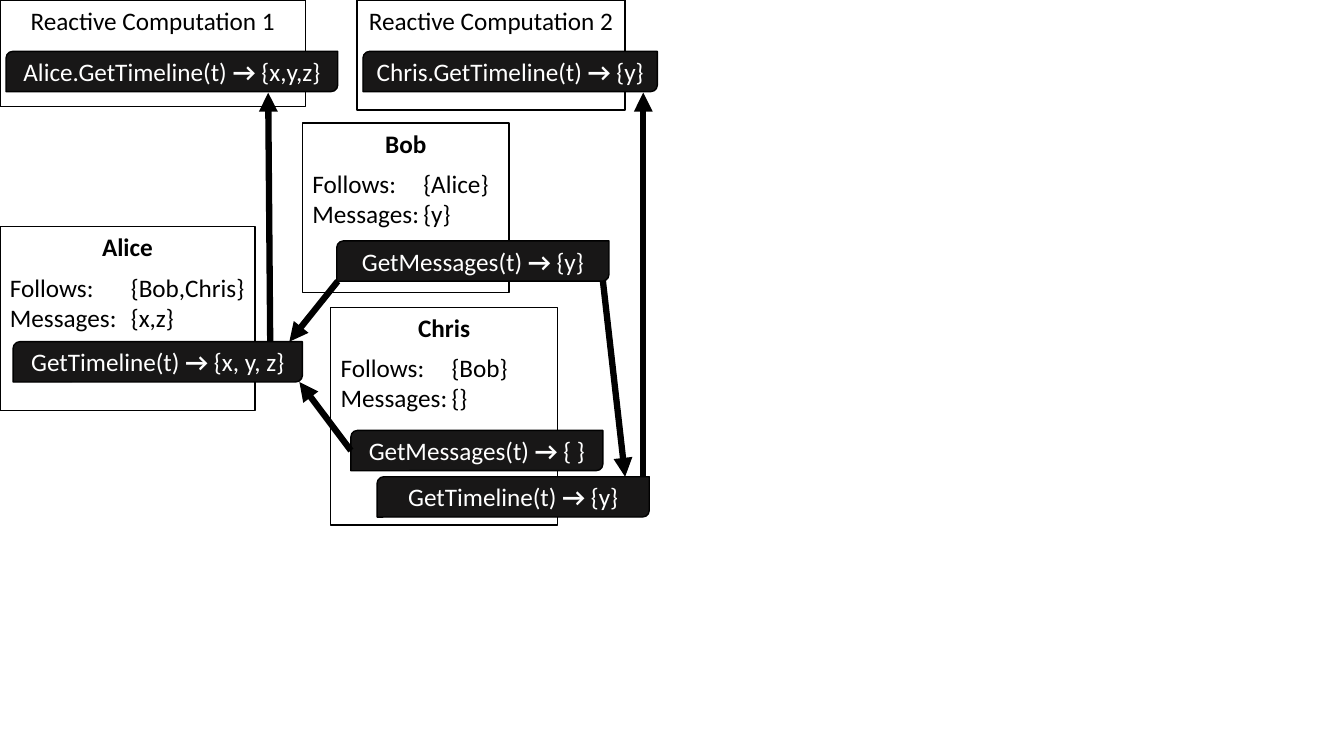
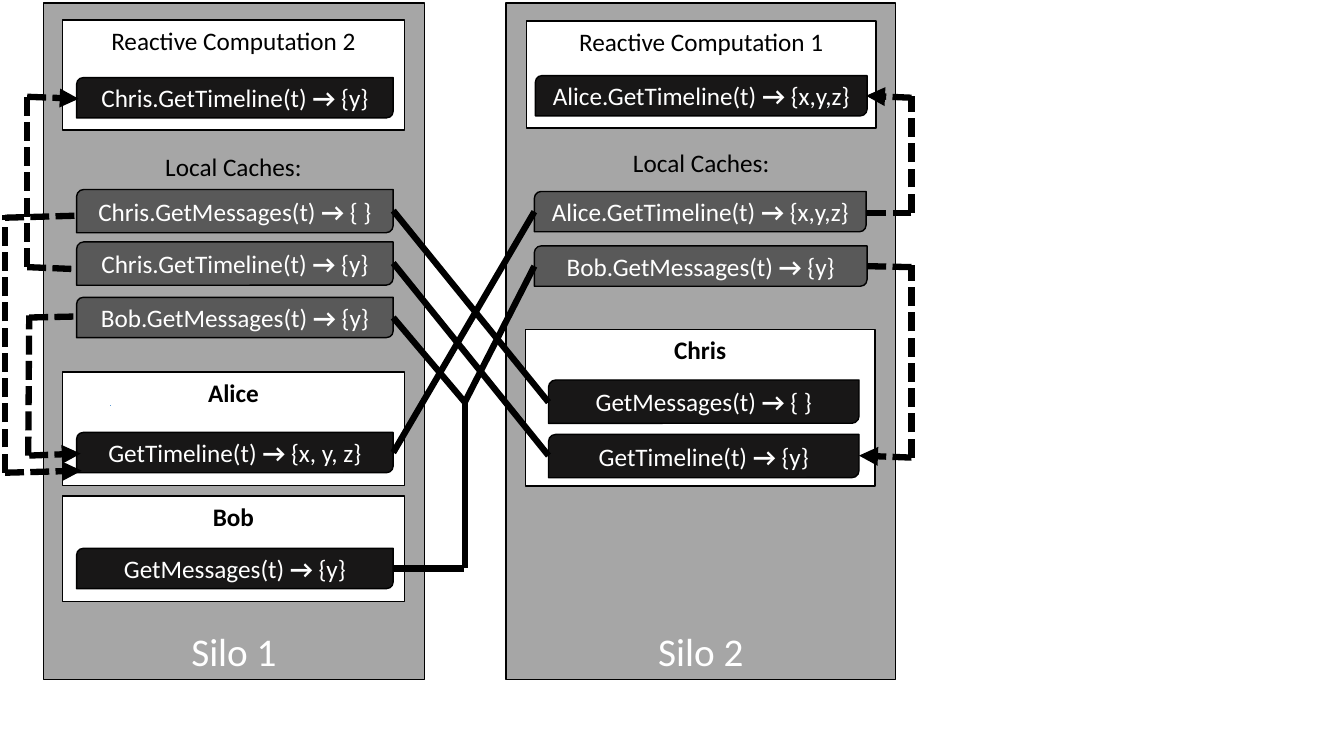
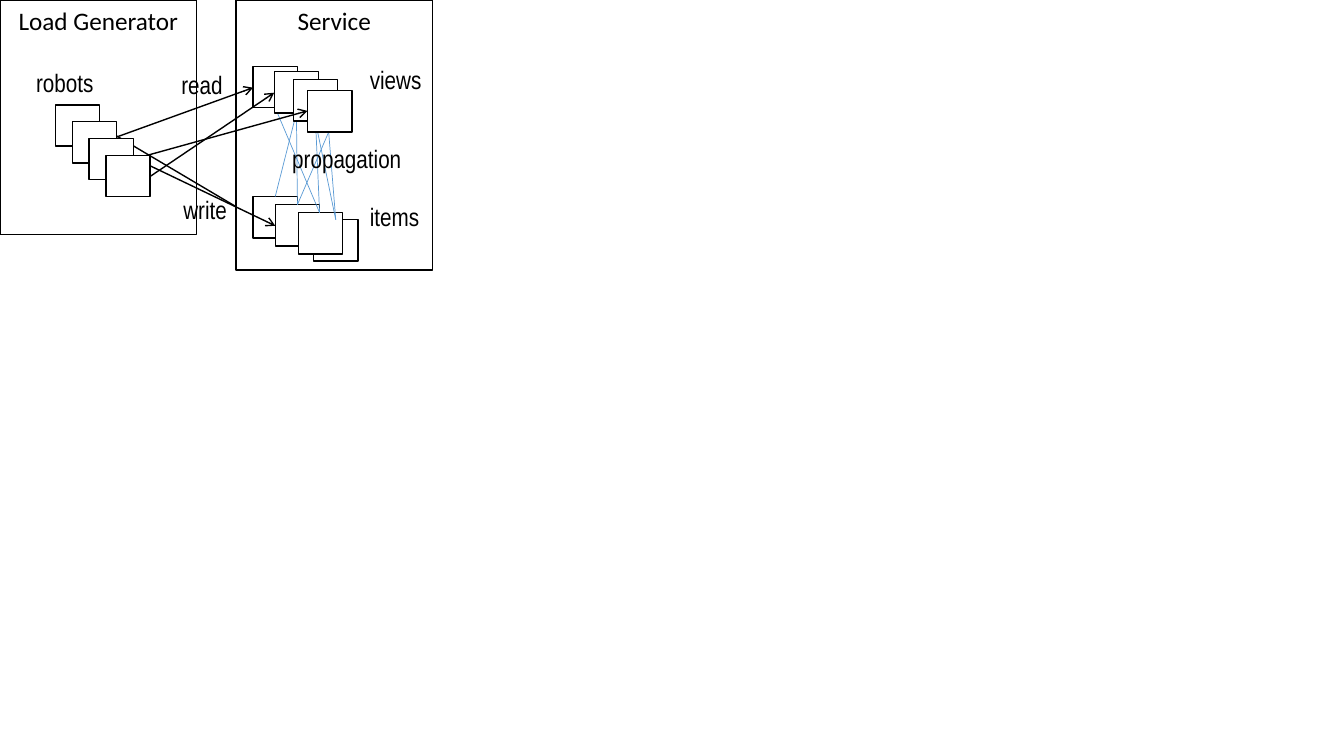
from dataclasses import dataclass

from lxml import etree
from pptx import Presentation
from pptx import util as u
from pptx.dml.color import RGBColor
from pptx.enum import dml, shapes, text
from pptx.oxml.ns import qn


@dataclass(frozen=True)
class Theme:
    """Colours, fonts and sizes shared by all slides."""
    black: str = "000000"
    white: str = "FFFFFF"
    live: str = "181717"
    cache: str = "595959"
    silo: str = "A6A6A6"
    blue: str = "5B9BD5"
    font: str = "Calibri"
    label_font: str = "Arial Narrow"
    body: int = 18
    large: int = 28
    thin: float = 0.5
    outline: float = 1
    thick: float = 4.5


T = Theme()
RECT = shapes.MSO_SHAPE.RECTANGLE
PILL = shapes.MSO_SHAPE.ROUND_2_DIAG_RECTANGLE
SQUARE = (0.44, 0.41)


def rgb(value):
    """Turn a hex string into a colour."""
    return RGBColor.from_string(value)


def add_run(p, words, color=T.black, size=T.body, bold=False, font=T.font):
    """Add one formatted run to a paragraph."""
    r = p.add_run()
    r.text = words
    r.font.name, r.font.size, r.font.bold = font, u.Pt(size), bold
    r.font.color.rgb = rgb(color)


def add_block(s, at, fill=T.white, preset=RECT, outlined=True):
    """Add a filled shape and return it."""
    sp = s.shapes.add_shape(preset, *map(u.Inches, at))
    sp.shadow.inherit = False
    sp.fill.solid()
    sp.fill.fore_color.rgb = rgb(fill)
    if outlined:
        sp.line.color.rgb = rgb(T.black)
        sp.line.width = u.Pt(T.outline)
    else:
        sp.line.fill.background()
    return sp


def add_panel(s, at, title, fill=T.white, color=T.black, size=T.body,
              bold=False, anchor=text.MSO_ANCHOR.TOP, outlined=True):
    """Add a rectangle with a centred title; return its text frame."""
    tf = add_block(s, at, fill, outlined=outlined).text_frame
    tf.vertical_anchor = anchor
    p = tf.paragraphs[0]
    p.alignment = text.PP_ALIGN.CENTER
    add_run(p, title, color, size, bold)
    return tf


def add_actor(s, at, name, follows, messages, tab=1.1):
    """Add a panel listing whom an actor follows and its messages."""
    tf = add_panel(s, at, name, bold=True)
    tf.paragraphs[0].space_after = u.Pt(7)
    for field, value in (("Follows", follows), ("Messages", messages)):
        p = tf.add_paragraph()
        p.alignment = text.PP_ALIGN.LEFT
        tabs = etree.SubElement(p._p.get_or_add_pPr(), qn("a:tabLst"))
        etree.SubElement(tabs, qn("a:tab"), pos=str(u.Inches(tab)), algn="l")
        add_run(p, f"{field}:\t{value}")


def add_call(s, at, call, result, fill=T.live):
    """Add a dark pill reading: call, bold arrow, result."""
    tf = add_block(s, at, fill, PILL).text_frame
    tf.vertical_anchor = text.MSO_ANCHOR.MIDDLE
    p = tf.paragraphs[0]
    p.alignment = text.PP_ALIGN.CENTER
    add_run(p, f"{call}(t) ", T.white)
    add_run(p, "→", T.white, bold=True)
    add_run(p, f" {result}", T.white)


def add_line(s, points, color=T.black, width=T.thick, head=None, dashed=False):
    """Add a straight line x1, y1, x2, y2 with an optional arrowhead."""
    cx = s.shapes.add_connector(shapes.MSO_CONNECTOR.STRAIGHT,
                                *map(u.Inches, points))
    cx.line.color.rgb = rgb(color)
    cx.line.width = u.Pt(width)
    if dashed:
        cx.line.dash_style = dml.MSO_LINE.SQUARE_DOT
    if head:
        etree.SubElement(cx.line._get_or_add_ln(), qn("a:tailEnd"), type=head)
    etree.SubElement(cx._element.spPr, qn("a:effectLst"))


def add_label(s, left, top, words):
    """Add a narrow free-standing label."""
    sp = s.shapes.add_textbox(*map(u.Inches, (left, top, 1.33, 0.4)))
    sp.text_frame.word_wrap = True
    add_run(sp.text_frame.paragraphs[0], words, font=T.label_font)


def add_squares(s, corners):
    """Add overlapping squares, back to front."""
    for corner in corners:
        add_block(s, (*corner, *SQUARE))


def draw_dependencies(s):
    """Actors and the computations that depend on them."""
    add_actor(s, (0, 2.25, 2.53, 1.82), "Alice", "{Bob,Chris}", "{x,z}", 1.2)
    add_actor(s, (3, 1.22, 2.05, 1.68), "Bob", "{Alice}", "{y}")
    add_actor(s, (3.28, 3.05, 2.25, 2.16), "Chris", "{Bob}", "{}")
    add_panel(s, (3.54, 0, 2.66, 1.09), "Reactive Computation 2")
    add_panel(s, (0, 0, 3.03, 1.06), "Reactive Computation 1")
    for left, top, width, call, result in (
            (0.13, 3.39, 2.87, "GetTimeline", "{x, y, z}"),
            (3.34, 2.39, 2.7, "GetMessages", "{y}"),
            (3.48, 4.27, 2.5, "GetMessages", "{ }"),
            (3.74, 4.73, 2.7, "GetTimeline", "{y}"),
            (3.6, 0.51, 2.92, "Chris.GetTimeline", "{y}"),
            (0.06, 0.51, 3.29, "Alice.GetTimeline", "{x,y,z}")):
        add_call(s, (left, top, width, 0.4), call, result)
    for points in ((2.68, 3.39, 2.66, 0.92), (3.35, 2.79, 2.87, 3.39),
                   (5.98, 2.79, 6.2, 4.73), (3.48, 4.47, 2.97, 3.79),
                   (6.38, 4.73, 6.38, 0.92)):
        add_line(s, points, head="triangle")


def draw_silos(s):
    """Two silos with local caches and the links between them."""
    for left, width, name in ((5.02, 3.86, "Silo 2"), (0.43, 3.78, "Silo 1")):
        add_panel(s, (left, 0.03, width, 6.71), name, T.silo, T.white,
                  T.large, anchor=text.MSO_ANCHOR.BOTTOM)
    for at in ((5.22, 1.41, 3.47, 1.69), (0.62, 1.45, 3.39, 2.2)):
        add_panel(s, at, "Local Caches:", T.silo, outlined=False)
    for at, title, bold in (
            ((0.62, 3.69, 3.39, 1.13), "Alice", True),
            ((0.62, 4.92, 3.39, 1.05), "Bob", True),
            ((5.21, 3.27, 3.47, 1.55), "Chris", True),
            ((0.62, 0.2, 3.39, 1.09), "Reactive Computation 2", False),
            ((5.22, 0.21, 3.47, 1.06), "Reactive Computation 1", False)):
        add_panel(s, at, title, bold=bold)
    for at, call, result, fill in (
            ((0.76, 4.29, 3.14, 0.4), "GetTimeline", "{x, y, z}", T.live),
            ((0.76, 5.44, 3.14, 0.4), "GetMessages", "{y}", T.live),
            ((5.44, 3.77, 3.08, 0.43), "GetMessages", "{ }", T.live),
            ((5.44, 4.31, 3.08, 0.43), "GetTimeline", "{y}", T.live),
            ((0.76, 0.77, 3.14, 0.4), "Chris.GetTimeline", "{y}", T.live),
            ((5.31, 0.75, 3.29, 0.4), "Alice.GetTimeline", "{x,y,z}", T.live),
            ((5.3, 1.9, 3.29, 0.4), "Alice.GetTimeline", "{x,y,z}", T.cache),
            ((5.3, 2.44, 3.3, 0.4), "Bob.GetMessages", "{y}", T.cache),
            ((0.76, 2.95, 3.14, 0.4), "Bob.GetMessages", "{y}", T.cache),
            ((0.76, 2.4, 3.14, 0.43), "Chris.GetTimeline", "{y}", T.cache),
            ((0.76, 1.88, 3.14, 0.43), "Chris.GetMessages", "{ }", T.cache)):
        add_call(s, at, call, result, fill)
    add_line(s, (1.09, 4.02, 1.09, 4.03), T.blue, T.thin)
    for points in ((4.61, 3.99, 3.9, 3.15), (5.44, 4.52, 3.9, 2.61),
                   (3.9, 4.49, 5.3, 2.1), (5.44, 3.99, 3.9, 2.09),
                   (3.9, 5.64, 4.6, 5.64), (4.61, 5.64, 4.61, 3.99),
                   (4.61, 3.99, 5.3, 2.64)):
        add_line(s, points)
    # Each update path: from the cache, along the silo, into the reader.
    for source, side, target in (
            ((9.04, 2.11, 8.59, 2.11), (9.04, 2.11, 9.04, 0.95),
             (9.04, 0.97, 8.59, 0.95)),
            ((9.04, 2.65, 8.56, 2.64), (9.04, 4.54, 9.04, 2.63),
             (9.04, 4.54, 8.52, 4.52)),
            ((0.27, 2.65, 0.75, 2.67), (0.27, 0.96, 0.27, 2.67),
             (0.27, 0.96, 0.78, 0.98)),
            ((0.29, 3.15, 0.76, 3.14), (0.28, 4.52, 0.29, 3.13),
             (0.29, 4.52, 0.8, 4.5)),
            ((0.05, 2.16, 0.76, 2.14), (0.05, 4.69, 0.05, 2.13),
             (0.05, 4.69, 0.81, 4.67))):
        add_line(s, source, dashed=True)
        add_line(s, side, dashed=True)
        add_line(s, target, dashed=True, head="triangle")


def draw_benchmark(s):
    """Load generator robots reading views and writing items."""
    views = ((2.51, 0.66), (2.72, 0.71), (2.91, 0.79), (3.05, 0.9))
    items = ((2.51, 1.95), (2.73, 2.03), (3.11, 2.18), (2.96, 2.11))
    robots = [(0.55 + i / 6, 1.04 + i / 6) for i in range(4)]

    def request(*points):
        """Add a thin open arrow."""
        add_line(s, points, width=T.outline, head="arrow")

    add_panel(s, (0, 0, 1.95, 2.33), "Load Generator")
    request(0.99, 1.25, 2.51, 2.15)
    add_panel(s, (2.34, 0, 1.95, 2.68), "Service")
    add_squares(s, views[:1] + items)
    for points in ((2.73, 1.95, 2.94, 1.12), (2.95, 2.03, 2.94, 1.12),
                   (2.73, 1.07, 3.17, 2.11), (3.26, 1.31, 2.95, 2.03),
                   (3.26, 1.31, 3.33, 2.18), (3.13, 1.21, 3.33, 2.18),
                   (3.13, 1.21, 3.17, 2.11)):
        add_line(s, points, T.blue, T.thin)
    add_squares(s, views[1:])
    add_squares(s, robots[:1])
    request(1.1, 1.38, 2.51, 0.87)
    request(1.49, 1.75, 2.72, 0.92)
    request(1.32, 1.58, 3.05, 1.1)
    request(1.27, 1.54, 2.73, 2.24)
    add_squares(s, robots[1:])
    for left, top, words in ((3.57, 0.59, "views"), (3.57, 1.95, "items"),
                             (0.26, 0.62, "robots"), (1.7, 0.64, "read"),
                             (1.72, 1.88, "write"),
                             (2.8, 1.37, "propagation")):
        add_label(s, left, top, words)


def main():
    """Build and save the deck."""
    prs = Presentation()
    prs.slide_width, prs.slide_height = u.Inches(13.33), u.Inches(7.5)
    for draw in (draw_dependencies, draw_silos, draw_benchmark):
        draw(prs.slides.add_slide(prs.slide_layouts[6]))
    prs.save("out.pptx")


main()
